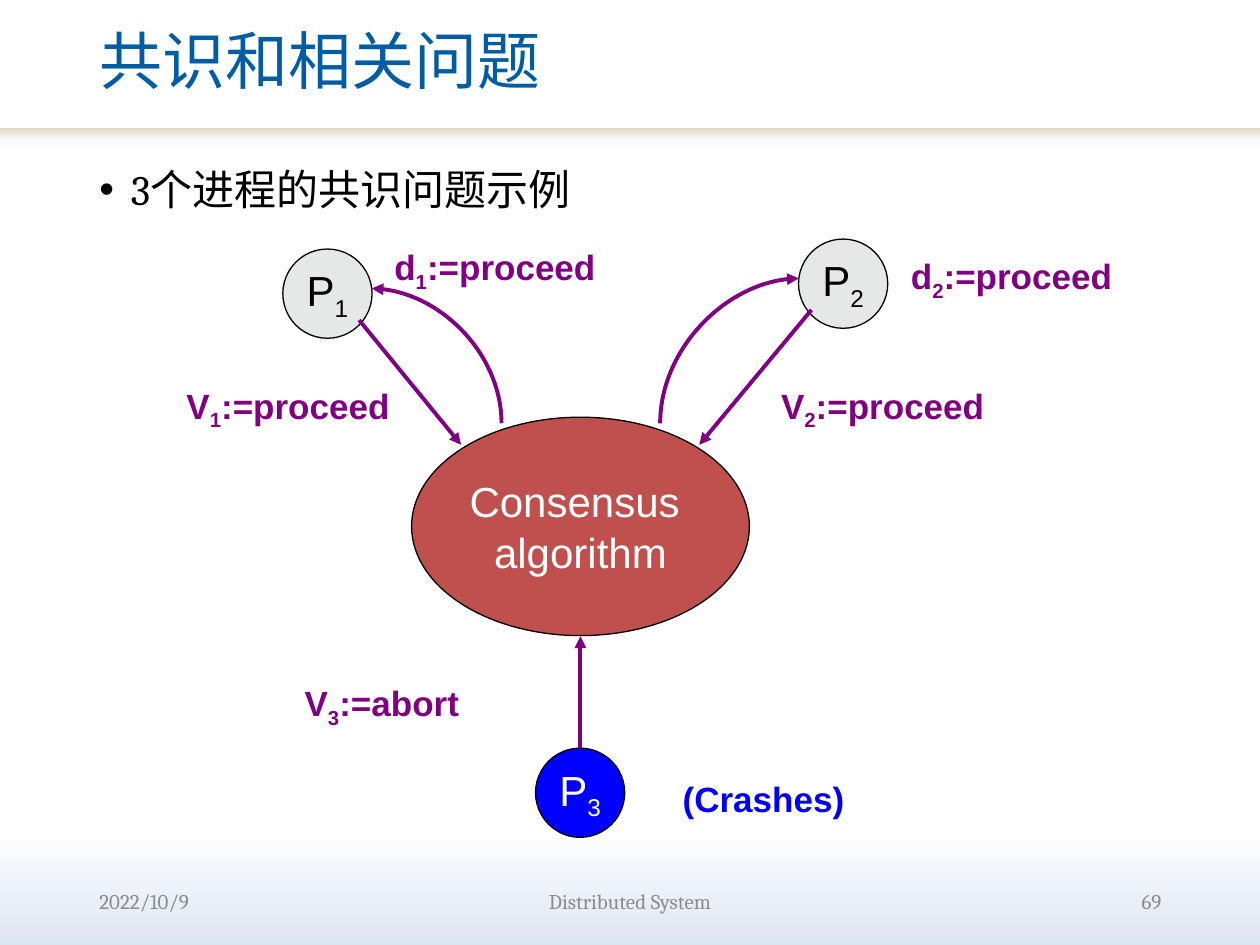
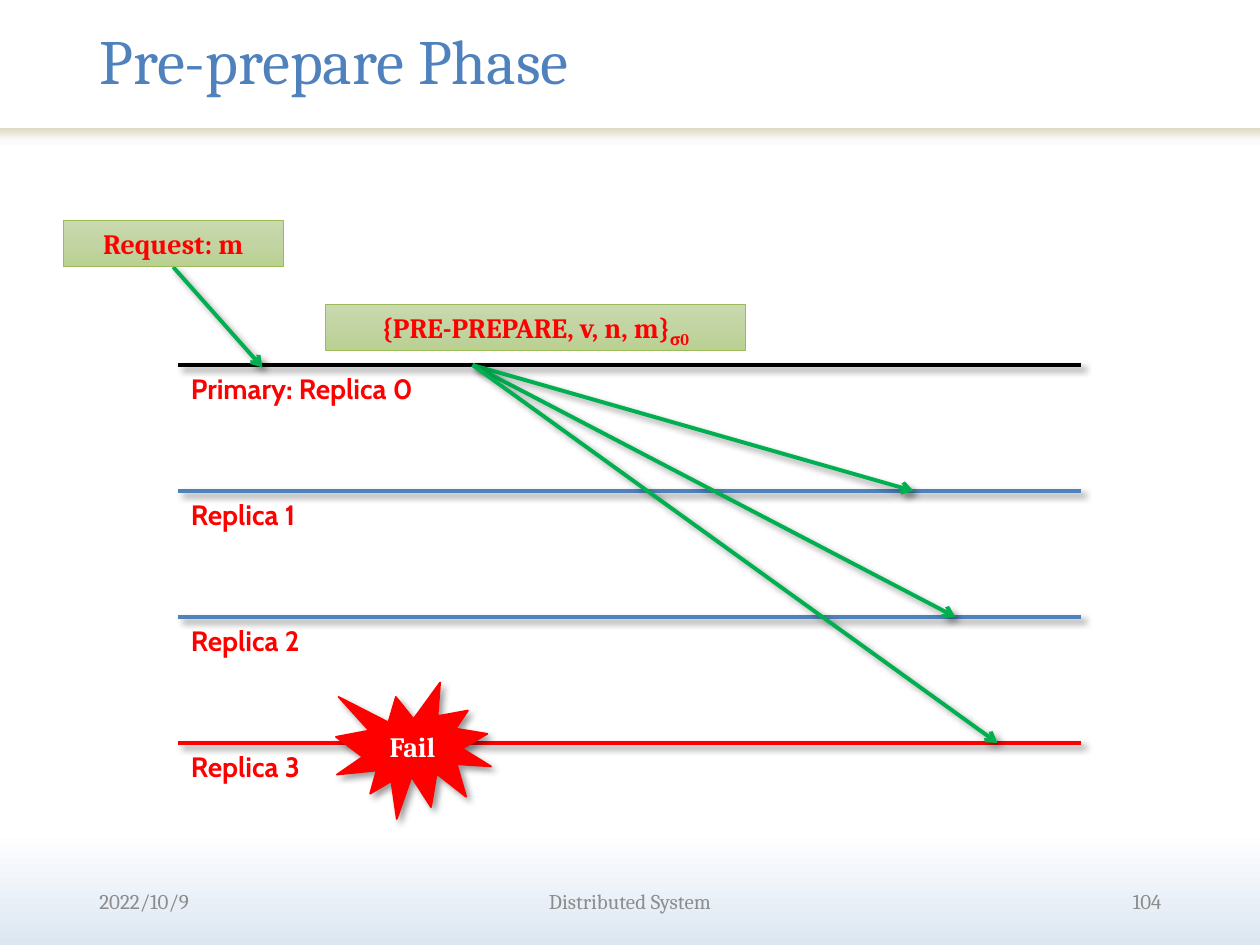
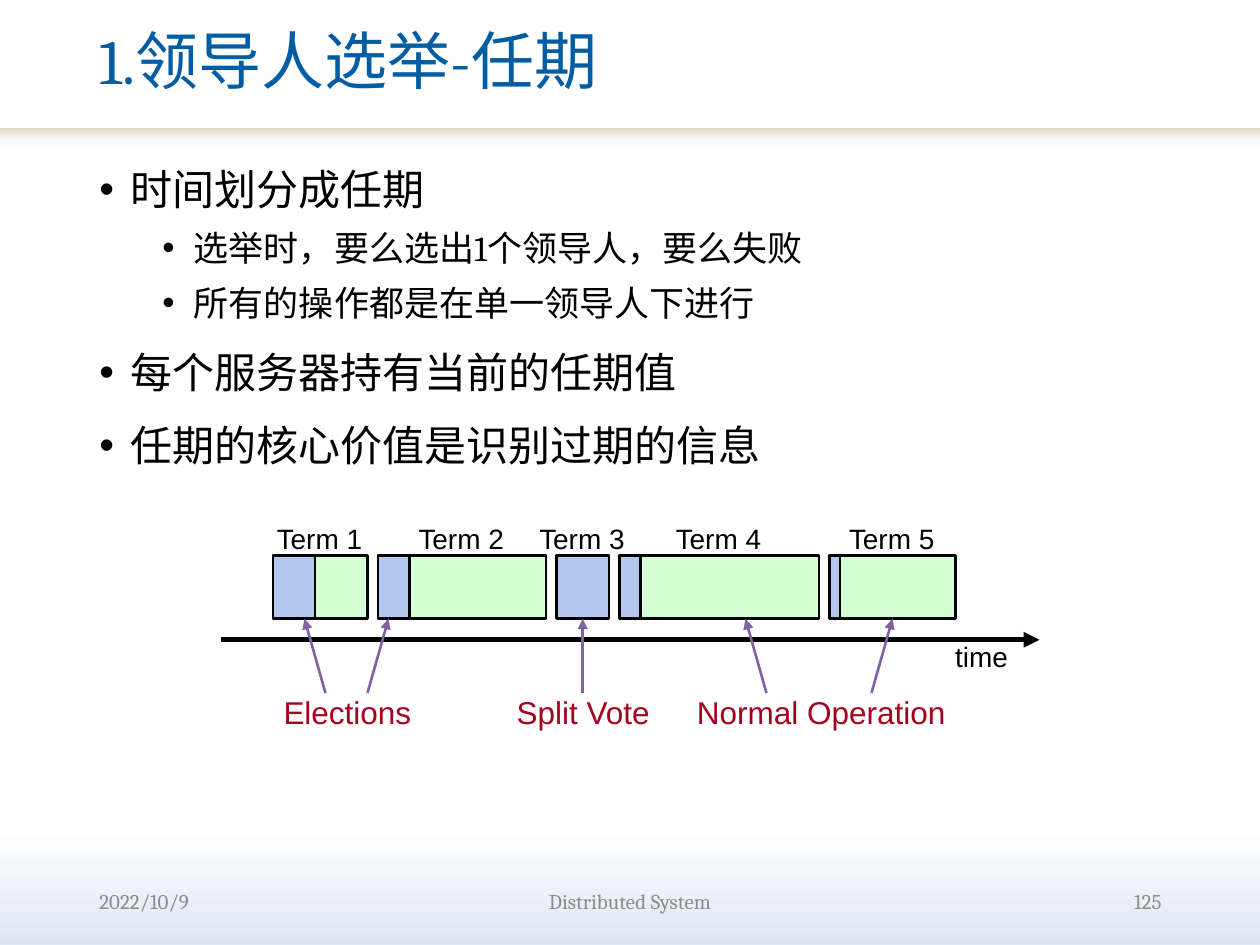
import pptx
import pptx.dml.color
import pptx.enum.shapes
import pptx.enum.text
import pptx.oxml
import pptx.oxml.ns
import pptx.util

Pt = pptx.util.Pt
RGB = pptx.dml.color.RGBColor
SHAPE = pptx.enum.shapes.MSO_SHAPE
CONNECTOR = pptx.enum.shapes.MSO_CONNECTOR
ALIGN = pptx.enum.text.PP_ALIGN
ANCHOR = pptx.enum.text.MSO_ANCHOR

BLACK = RGB(0x00, 0x00, 0x00)
WHITE = RGB(0xFF, 0xFF, 0xFF)
RED = RGB(0xFF, 0x00, 0x00)
BLUE = RGB(0x00, 0x00, 0xFF)
GREEN = RGB(0x00, 0xB0, 0x50)
PURPLE = RGB(0x80, 0x00, 0x80)
VIOLET = RGB(0x80, 0x64, 0xA2)
CRIMSON = RGB(0xA5, 0x00, 0x1E)
BRICK = RGB(0xC0, 0x50, 0x4D)
PALE_GREY = RGB(0xE6, 0xE8, 0xE8)
FOOTER_GREY = RGB(0x8C, 0x8C, 0x8C)
TITLE_BLUE = RGB(0x00, 0x5D, 0xA3)
LANE_BLUE = RGB(0x4F, 0x81, 0xBD)
BOX_EDGE = RGB(0x9B, 0xBB, 0x59)
ELECTION_FILL = RGB(0xB3, 0xC7, 0xEF)
NORMAL_FILL = RGB(0xD5, 0xFF, 0xD5)

# Gradients: clockwise angle, then (percent, colour) stops
PAGE_GRADIENT = 90, [(0, "FFFFFF"), (88, "FFFFFF"), (100, "DCE6F2")]
BAND_GRADIENT = 270, [(0, "FFFFFF"), (45, "FBFBFB"), (100, "DDD9C3")]
BOX_GRADIENT = 90, [(0, "CADAAF"), (50, "C1D4A2"), (100, "B9D091")]

# Text between a pair of underscores is set as a subscript.
FOOTER_TOP, FOOTER_HEIGHT = 500.4, 28.8
DATE, COURSE = "2022/10/9", "Distributed System"

CONSENSUS = {
    "bullets": [(0, "3个进程的共识问题示例")],
    "ellipse": (235.2, 238.4, 193, 124.8),
    "processes": [  # text, left, top, fill, text colour
        ("P_1_", 161.6, 142.3, PALE_GREY, BLACK),
        ("P_3_", 306, 427.5, BLUE, WHITE),
        ("P_2_", 456.3, 136.6, PALE_GREY, BLACK),
    ],
    "proposals": [  # from process to algorithm
        ((205.2, 182.9), (263.5, 254.2)),
        ((331.7, 427.5), (331.7, 363.6)),
        ((463.7, 177.1), (399.6, 254.2)),
    ],
    "decisions": [  # process end, algorithm end
        ((212.4, 164.9), (286.6, 241.9)),
        ((456.5, 159.1), (377.3, 241.9)),
    ],
    "labels": [  # text, left, top, width, colour
        ("d_1_:=proceed", 218.2, 136.8, 130.3, PURPLE),
        ("d_2_:=proceed", 513.4, 141.8, 130.3, PURPLE),
        ("V_1_:=proceed", 99.4, 216, 131, PURPLE),
        ("V_2_:=proceed", 439.2, 216, 131, PURPLE),
        ("V_3_:=abort", 167, 385.9, 103.7, PURPLE),
        ("(Crashes)", 383, 440.6, 106.6, BLUE),
    ],
}

LANES = [
    ("Primary: Replica 0", BLACK),
    ("Replica 1", LANE_BLUE),
    ("Replica 2", LANE_BLUE),
    ("Replica 3", RED),
]
MESSAGES = [
    ("Request: m", 36, 126, 126),
    ("{PRE-PREPARE, v, n, m}_σ0_", 186, 174, 240),
]

TERM_BULLETS = [
    (0, "时间划分成任期"),
    (1, "选举时，要么选出1个领导人，要么失败"),
    (1, "所有的操作都是在单一领导人下进行"),
    (0, "每个服务器持有当前的任期值"),
    (0, "任期的核心价值是识别过期的信息"),
]
TERMS = [  # election width, whole width
    (24, 54), (18, 96), (30, 30), (12, 114), (6, 72),
]
TERM_NOTES = [  # text, left, width, arrows as (x at text, x at bar)
    ("Elections", 162, 73.4, [(186, 174), (210, 222)]),
    ("Split Vote", 295.2, 77, [(333, 333)]),
    ("Normal Operation", 398.2, 143.3, [(438, 426), (498, 510)]),
]


def add_xml(parent, tag, **attributes):
    element = pptx.oxml.parse_xml(f"<a:{tag} {pptx.oxml.ns.nsdecls('a')}/>")
    for name, value in attributes.items():
        element.set(name, str(value))
    parent.append(element)
    return element


def paint_gradient(owner, fill, gradient):
    """Give the fill of owner the gradient's angle and stops."""
    angle, stops = gradient
    fill.gradient()
    fill.gradient_angle = 360 - angle
    stop_list = owner.element.find(".//" + pptx.oxml.ns.qn("a:gsLst"))
    for old in list(stop_list):
        stop_list.remove(old)
    for percent, color in stops:
        add_xml(add_xml(stop_list, "gs", pos=percent * 1000), "srgbClr", val=color)


def set_shadow(shape, shown):
    effects = add_xml(shape.element.spPr, "effectLst")
    if shown:
        outer = add_xml(effects, "outerShdw", blurRad=Pt(4), dist=Pt(3), dir=45 * 60000)
        add_xml(add_xml(outer, "srgbClr", val="000000"), "alpha", val=40000)


def write(p, text, size=24, font="Cambria", color=BLACK, bold=False,
          align=ALIGN.LEFT, spacing=None):
    p.alignment = align
    if spacing:
        p.line_spacing = spacing
    for i, part in enumerate(text.split("_")):
        if part:
            r = p.add_run()
            r.text = part
            r.font.size, r.font.name = Pt(size), font
            r.font.bold, r.font.color.rgb = bold, color
            if i % 2:
                r.font.subscript = True if hasattr(r.font, "subscript") else None
                r._r.get_or_add_rPr().set("baseline", "-25000")


def write_in(shape, text, anchor=ANCHOR.TOP, wrap=True, inset=None, **style):
    tf = shape.text_frame
    tf.word_wrap, tf.vertical_anchor = wrap, anchor
    tf.auto_size = pptx.enum.text.MSO_AUTO_SIZE.NONE
    if inset is not None:
        tf.margin_left = tf.margin_right = tf.margin_top = tf.margin_bottom = Pt(inset)
    for i, line in enumerate(text.split("\n")):
        write(tf.add_paragraph() if i else tf.paragraphs[0], line, **style)


def add_label(s, text, left, top, width, height, **style):
    box = s.shapes.add_textbox(Pt(left), Pt(top), Pt(width), Pt(height))
    write_in(box, text, **style)


def add_box(s, kind, left, top, width, height, fill, edge=None, weight=0.75, shadow=False):
    sp = s.shapes.add_shape(kind, Pt(left), Pt(top), Pt(width), Pt(height))
    if isinstance(fill, tuple) and not isinstance(fill, RGB):
        paint_gradient(sp, sp.fill, fill)
    else:
        sp.fill.solid()
        sp.fill.fore_color.rgb = fill
    if edge is None:
        sp.line.fill.background()
    else:
        sp.line.color.rgb, sp.line.width = edge, Pt(weight)
    set_shadow(sp, shadow)
    return sp


def add_line(s, start, end, color, weight=2.25, head=None, tail=None,
             shadow=False, curved=False):
    kind = CONNECTOR.CURVE if curved else CONNECTOR.STRAIGHT
    line = s.shapes.add_connector(kind, *(Pt(v) for v in start + end))
    if curved:
        line.element.spPr.find(pptx.oxml.ns.qn("a:prstGeom")).set("prst", "curvedConnector2")
    line.line.color.rgb, line.line.width = color, Pt(weight)
    ln = line.line._get_or_add_ln()
    if head:
        add_xml(ln, "headEnd", type=head)
    if tail:
        add_xml(ln, "tailEnd", type=tail)
    set_shadow(line, shadow)


def add_bullets(s, items):
    box = s.shapes.add_textbox(Pt(49.7), Pt(87.1), Pt(620.6), Pt(399.6))
    tf = box.text_frame
    tf.word_wrap = True
    for i, (level, text) in enumerate(items):
        p = tf.add_paragraph() if i else tf.paragraphs[0]
        p.level = level
        p.space_before = Pt((5 if level else 10) if i else 0)
        p.line_spacing = 1.1
        pPr = p._p.get_or_add_pPr()
        pPr.set("marL", str(Pt(18 + 36 * level)))
        pPr.set("indent", str(-Pt(18)))
        add_xml(pPr, "buFont", typeface="Arial")
        add_xml(pPr, "buChar", char="•")
        write(p, text, size=20 if level else 24)


def add_slide(prs, title, number, title_color=TITLE_BLUE):
    s = prs.slides.add_slide(prs.slide_layouts[5])
    add_box(s, SHAPE.RECTANGLE, 0, 73.4, 720, 12.2, BAND_GRADIENT)
    t = s.shapes.title
    t.left, t.top, t.width, t.height = Pt(49.7), Pt(0), Pt(597.6), Pt(73.4)
    write_in(t, title, size=36, color=title_color, anchor=ANCHOR.MIDDLE, spacing=0.9)
    for text, left, width, align in [
        (DATE, 49.7, 149.8, ALIGN.LEFT),
        (COURSE, 198.9, 322.2, ALIGN.CENTER),
        (str(number), 521, 149.8, ALIGN.RIGHT),
    ]:
        add_label(s, text, left, FOOTER_TOP, width, FOOTER_HEIGHT, size=12,
                  color=FOOTER_GREY, align=align, anchor=ANCHOR.MIDDLE)
    return s


def build_consensus(prs):
    s = add_slide(prs, "共识和相关问题", 69)
    add_bullets(s, CONSENSUS["bullets"])
    inside = dict(font="Arial", align=ALIGN.CENTER, anchor=ANCHOR.MIDDLE, wrap=False)
    algorithm = add_box(s, SHAPE.OVAL, *CONSENSUS["ellipse"], BRICK, BLACK)
    write_in(algorithm, "Consensus \nalgorithm", color=WHITE, **inside)
    for text, left, top, fill, color in CONSENSUS["processes"]:
        process = add_box(s, SHAPE.OVAL, left, top, 51, 51, fill, BLACK)
        write_in(process, text, color=color, **inside)
    for start, end in CONSENSUS["proposals"]:
        add_line(s, start, end, PURPLE, tail="triangle")
    for process_end, algorithm_end in CONSENSUS["decisions"]:
        add_line(s, process_end, algorithm_end, PURPLE, head="triangle", curved=True)
    for text, left, top, width, color in CONSENSUS["labels"]:
        add_label(s, text, left, top, width, 31, size=20, font="Arial",
                  color=color, bold=True, wrap=False)


def build_pre_prepare(prs):
    s = add_slide(prs, "Pre-prepare Phase", 104, LANE_BLUE)
    lane_left, lane_right, first_lane, lane_gap = 102, 618, 208.6, 72
    lane_tops = [first_lane + lane_gap * i for i in range(len(LANES))]
    for (name, color), y in zip(LANES, lane_tops):
        add_line(s, (lane_left, y), (lane_right, y), color, shadow=True)
        add_label(s, name, lane_left, y, 192, 26.6, size=16, font="Cabin",
                  color=RED, bold=True)
    arrow = dict(color=GREEN, tail="arrow", shadow=True)
    for i, y in enumerate(lane_tops[1:]):
        add_line(s, (270, first_lane), (522 + 24 * i, y), **arrow)
    add_line(s, (99, 152.6), (150, 210), **arrow)
    bold = dict(size=16, bold=True, align=ALIGN.CENTER)
    for text, left, top, width in MESSAGES:
        box = add_box(s, SHAPE.RECTANGLE, left, top, width, 26.6, BOX_GRADIENT, BOX_EDGE, 0.5)
        write_in(box, text, color=RED, **bold)
    fail = add_box(s, SHAPE.EXPLOSION1, 192, 390, 88.6, 78, RED, RED, 1, shadow=True)
    write_in(fail, "Fail", color=WHITE, anchor=ANCHOR.MIDDLE, **bold)


def build_terms(prs):
    s = add_slide(prs, "1.领导人选举-任期", 125)
    add_bullets(s, TERM_BULLETS)
    bar_top, bar_height, gap, label_width = 317.6, 36, 6, 49.7
    plain = dict(font="Arial", inset=0, wrap=False)
    add_line(s, (126, 365.6), (594, 365.6), BLACK, 3, tail="triangle")
    left = 156
    for number, (election, whole) in enumerate(TERMS, 1):
        for width, fill in [(whole, NORMAL_FILL), (election, ELECTION_FILL)]:
            if fill == ELECTION_FILL or whole > election:
                add_box(s, SHAPE.RECTANGLE, left, bar_top, width, bar_height, fill, BLACK, 1.5)
        add_label(s, f"Term {number}", left + (whole - label_width) / 2, 298.1,
                  label_width, 19.4, size=16, **plain)
        left += whole + gap
    add_label(s, "time", 545.8, 365.6, 30.2, 19.4, size=16, **plain)
    for text, left, width, arrows in TERM_NOTES:
        add_label(s, text, left, 396, width, 21.6, size=18, color=CRIMSON, **plain)
        for text_x, bar_x in arrows:
            add_line(s, (text_x, 396), (bar_x, bar_top + bar_height), VIOLET, 1.5,
                     tail="triangle")


def main():
    prs = pptx.Presentation()
    prs.slide_width, prs.slide_height = Pt(720), Pt(540)
    master = prs.slide_master
    paint_gradient(master, master.background.fill, PAGE_GRADIENT)
    build_consensus(prs)
    build_pre_prepare(prs)
    build_terms(prs)
    prs.save("out.pptx")


if __name__ == "__main__":
    main()
